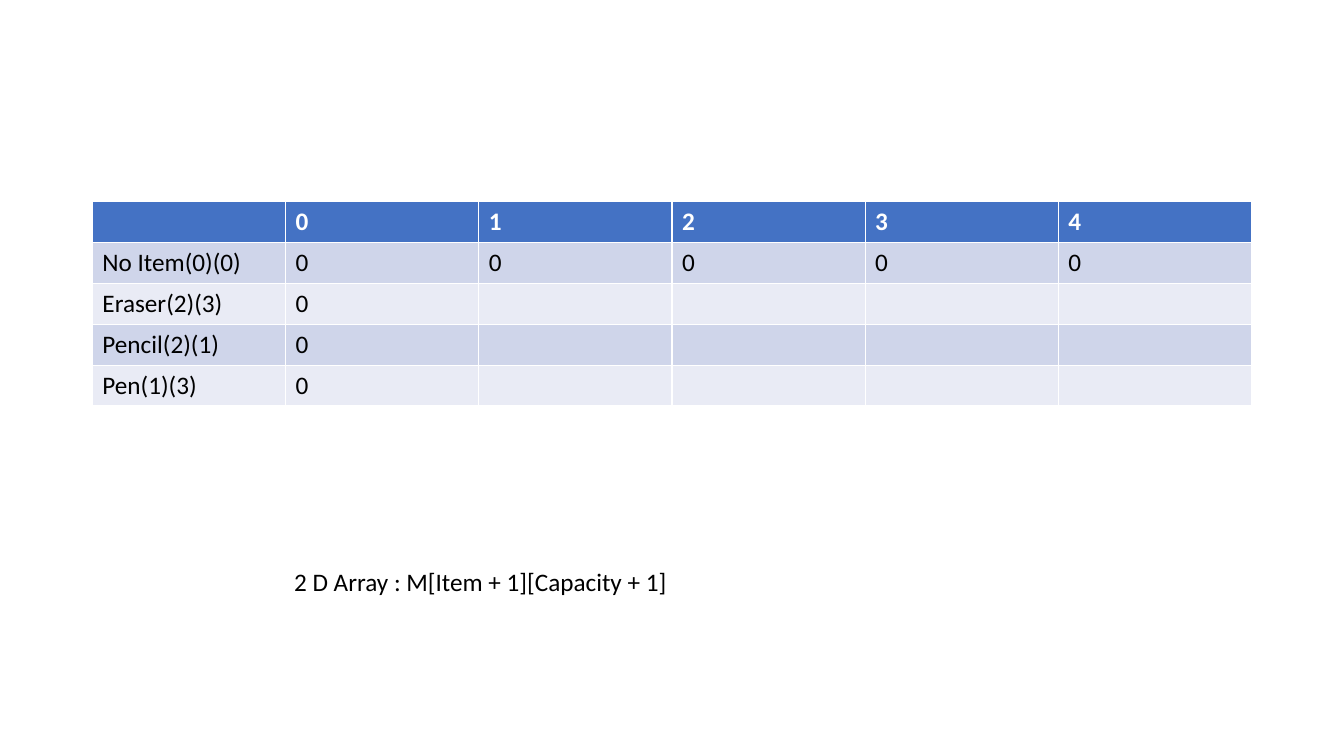
"""Build a slide with an empty knapsack table and its array definition."""
from pptx import Presentation
from pptx.dml.color import RGBColor
from pptx.enum.text import MSO_AUTO_SIZE
from pptx.util import Pt


def color(value):
    return RGBColor.from_string(value)


def format_text(paragraph, text_color, bold=False):
    paragraph.font.size = Pt(18)
    for run in paragraph.runs:
        run.font.name = "Calibri"
        run.font.size = Pt(18)
        run.font.bold = bold
        run.font.color.rgb = color(text_color)


HEADER_FILL = "4472C4"
BAND_FILLS = ["E9EBF5", "CFD5EA"]
ROWS = [
    ["", "0", "1", "2", "3", "4"],
    ["No Item(0)(0)", "0", "0", "0", "0", "0"],
    ["Eraser(2)(3)", "0", "", "", "", ""],
    ["Pencil(2)(1)", "0", "", "", "", ""],
    ["Pen(1)(3)", "0", "", "", "", ""],
]
COLUMN_WIDTH = 138
ROW_HEIGHT = 29.2

presentation = Presentation()
presentation.slide_width = Pt(960)
presentation.slide_height = Pt(540)
slide = presentation.slides.add_slide(presentation.slide_layouts[6])

row_count, column_count = len(ROWS), len(ROWS[0])
table = slide.shapes.add_table(
    row_count, column_count, Pt(66), Pt(144),
    Pt(COLUMN_WIDTH * column_count), Pt(ROW_HEIGHT * row_count),
).table
for row_index, row in enumerate(ROWS):
    is_header = row_index == 0
    fill = HEADER_FILL if is_header else BAND_FILLS[row_index % 2]
    for column_index, text in enumerate(row):
        cell = table.cell(row_index, column_index)
        cell.fill.solid()
        cell.fill.fore_color.rgb = color(fill)
        cell.text_frame.text = text
        format_text(cell.text_frame.paragraphs[0],
                    "FFFFFF" if is_header else "000000", is_header)

array_note = slide.shapes.add_textbox(Pt(203), Pt(401), Pt(535), Pt(29))
array_note.text_frame.word_wrap = True
array_note.text_frame.auto_size = MSO_AUTO_SIZE.SHAPE_TO_FIT_TEXT
array_note.text_frame.text = "2 D Array : M[Item + 1][Capacity + 1]"
format_text(array_note.text_frame.paragraphs[0], "000000")

presentation.save("out.pptx")
